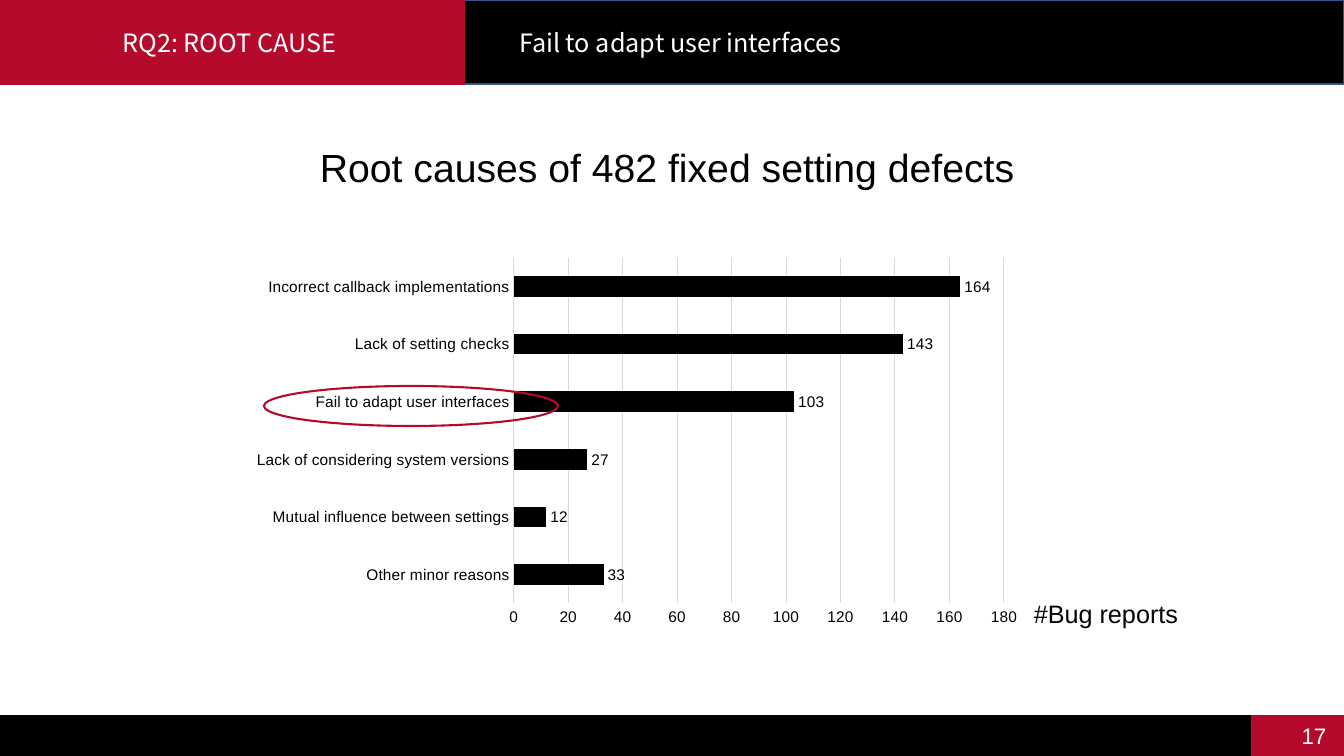
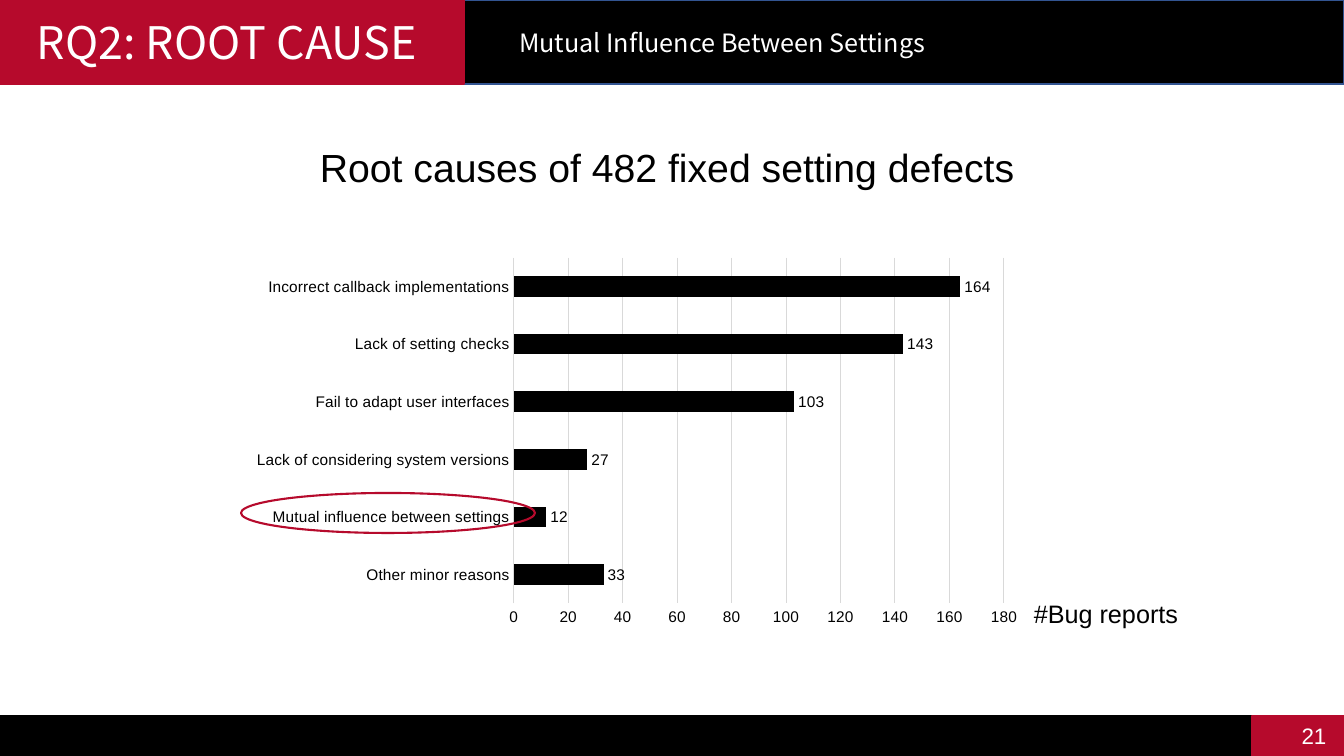
from pptx import Presentation
from pptx import util as u
from pptx.chart import data
from pptx.dml.color import RGBColor
from pptx.enum import chart as ch, shapes, text

EMU_PER_PX = 914400 / 100.8
SLIDE_W, SLIDE_H = 1344, 756
HEADER_H, FOOTER_H = 84, 40

BLACK = RGBColor(0x00, 0x00, 0x00)
WHITE = RGBColor(0xFF, 0xFF, 0xFF)
CRIMSON = RGBColor(0xB6, 0x0A, 0x2C)
NAVY = RGBColor(0x32, 0x54, 0x91)
LIGHT_GREY = RGBColor(0xD9, 0xD9, 0xD9)

BODY_FONT = "Arial"
HEADER_FONT = "Noto Sans CJK SC"

SECTION = "RQ2: ROOT CAUSE "
HEADING = "Root causes of 482 fixed setting defects"
ROOT_CAUSES = {
    "Other minor reasons": 33,
    "Mutual influence between settings": 12,
    "Lack of considering system versions": 27,
    "Fail to adapt user interfaces": 103,
    "Lack of setting checks": 143,
    "Incorrect callback implementations": 164,
}

# page number, topic, section text size, left and top of the highlight
SLIDES = [
    (17, "Fail to adapt user interfaces", 18, (264, 386)),
    (21, "Mutual Influence Between Settings", 32, (241, 493)),
]


def px(*lengths):
    return [u.Emu(round(length * EMU_PER_PX)) for length in lengths]


def style_font(font, size, color=BLACK, name=BODY_FONT):
    font.size, font.name = u.Pt(size), name
    font.color.rgb = color


def write(shape, words, size, color=BLACK, name=BODY_FONT,
          align=text.PP_ALIGN.LEFT, anchor=text.MSO_ANCHOR.MIDDLE,
          wrap=True, fit=text.MSO_AUTO_SIZE.NONE):
    frame = shape.text_frame
    frame.word_wrap, frame.auto_size = wrap, fit
    frame.vertical_anchor = anchor
    paragraph = frame.paragraphs[0]
    paragraph.alignment = align
    run = paragraph.add_run()
    run.text = words
    style_font(run.font, size, color, name)


def add_outlined(slide, preset, box, line, fill=None, width=1):
    shape = slide.shapes.add_shape(preset, *px(*box))
    shape.shadow.inherit = False
    if fill is None:
        shape.fill.background()
    else:
        shape.fill.solid()
        shape.fill.fore_color.rgb = fill
    shape.line.color.rgb = line
    shape.line.width = u.Pt(width)
    return shape


def add_bands(slide, layout):
    """Draw the shared bands on a slide, then move them to its layout."""
    footer_top = SLIDE_H - FOOTER_H
    for box, line, fill in [
        ((0, footer_top, SLIDE_W, FOOTER_H), BLACK, BLACK),
        ((SLIDE_W - 92, footer_top, 92, FOOTER_H), CRIMSON, CRIMSON),
        ((0, 0, SLIDE_W, HEADER_H), NAVY, BLACK),
    ]:
        band = add_outlined(slide, shapes.MSO_SHAPE.RECTANGLE, box, line, fill)
        layout.shapes._spTree.append(band._element)


def add_header(slide, topic, section_size):
    section = add_outlined(slide, shapes.MSO_SHAPE.RECTANGLE,
                           (0, 0, 464, HEADER_H), CRIMSON, CRIMSON)
    write(section, SECTION, section_size, WHITE, HEADER_FONT,
          text.PP_ALIGN.CENTER)
    title = slide.shapes.title
    title.left, title.top, title.width, title.height = px(509, 0, 454, HEADER_H)
    write(title, topic, 18, WHITE, HEADER_FONT)


def add_page_number(slide, number):
    box = slide.shapes.add_textbox(*px(1285, 710, 58, 51))
    write(box, str(number), 16, WHITE, align=text.PP_ALIGN.CENTER)


def add_cause_chart(slide, left, top, width, height):
    causes = data.CategoryChartData()
    causes.categories = list(ROOT_CAUSES)
    causes.add_series("Series 1", list(ROOT_CAUSES.values()))
    chart = slide.shapes.add_chart(ch.XL_CHART_TYPE.BAR_CLUSTERED,
                                   *px(left, top, width, height), causes).chart
    chart.has_legend = chart.has_title = False
    style_font(chart.font, 10, name=HEADER_FONT)

    category_axis, value_axis = chart.category_axis, chart.value_axis
    for axis in (category_axis, value_axis):
        axis.major_tick_mark = axis.minor_tick_mark = ch.XL_TICK_MARK.NONE
        style_font(axis.tick_labels.font, 11)
    value_axis.minimum_scale, value_axis.maximum_scale = 0, 180
    value_axis.major_unit = 20
    value_axis.has_major_gridlines = True
    value_axis.format.line.fill.background()
    for line in (category_axis.format.line,
                 value_axis.major_gridlines.format.line):
        line.color.rgb = LIGHT_GREY
        line.width = u.Pt(0.75)

    plot = chart.plots[0]
    plot.gap_width = 182
    plot.vary_by_categories = False
    bars = plot.series[0]
    bars.format.fill.solid()
    bars.format.fill.fore_color.rgb = BLACK
    labels = bars.data_labels
    labels.show_value = True
    labels.position = ch.XL_LABEL_POSITION.OUTSIDE_END
    style_font(labels.font, 11)


def add_root_causes(slide, highlight, left=241, top=138):
    """Place the heading, the chart with its unit and the highlight."""
    add_cause_chart(slide, left, top + 112, 792, 383)
    grow = {"anchor": text.MSO_ANCHOR.TOP,
            "fit": text.MSO_AUTO_SIZE.SHAPE_TO_FIT_TEXT}
    heading = slide.shapes.add_textbox(*px(left + 69, top, 723, 57))
    write(heading, HEADING, 28, wrap=False, **grow)
    add_outlined(slide, shapes.MSO_SHAPE.OVAL, (*highlight, 294, 40),
                 CRIMSON, width=1.5)
    unit = slide.shapes.add_textbox(*px(left + 751, top + 455, 196, 40))
    write(unit, "#Bug reports", 18, align=text.PP_ALIGN.RIGHT, **grow)


def main():
    deck = Presentation()
    deck.slide_width, deck.slide_height = px(SLIDE_W, SLIDE_H)
    layout = deck.slide_layouts.get_by_name("Title Only")
    for index, (number, topic, section_size, highlight) in enumerate(SLIDES):
        slide = deck.slides.add_slide(layout)
        if index == 0:
            add_bands(slide, layout)
        add_page_number(slide, number)
        add_header(slide, topic, section_size)
        add_root_causes(slide, highlight)
    deck.save("out.pptx")


if __name__ == "__main__":
    main()
